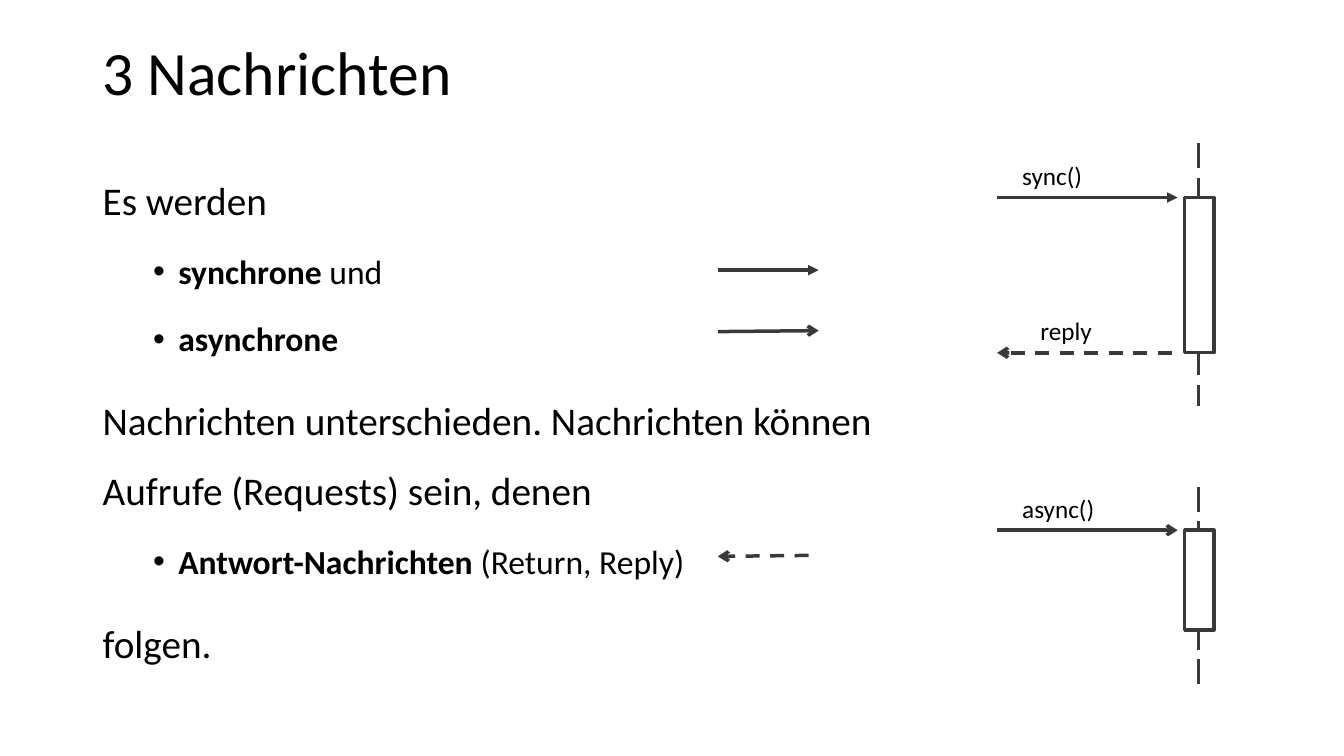
from pptx import Presentation
from pptx.dml.color import RGBColor
from pptx.enum.dml import MSO_LINE_DASH_STYLE as Dash
from pptx.enum.shapes import MSO_CONNECTOR as Connector, MSO_SHAPE as Shape
from pptx.enum.text import MSO_ANCHOR as Anchor, MSO_AUTO_SIZE as AutoSize
from pptx.oxml.ns import qn
from pptx.util import Pt
from lxml.etree import SubElement

EMU_PER_PX = 9144
INK = "3B3838"
BLACK = "000000"
WHITE = "FFFFFF"

STATEMENT = {"line_spacing": 1.5, "space_before": Pt(10)}
KIND = {"line_spacing": 1.5, "space_before": Pt(5), "level": 1}
EXPLANATION = [
    (STATEMENT, 28, [("Es werden", False)]),
    (KIND, 24, [("synchrone", True), (" und", False)]),
    (KIND, 24, [("asynchrone", True)]),
    (STATEMENT, 28, [("Nachrichten unterschieden. Nachrichten können "
                      "Aufrufe (Requests) sein, denen", False)]),
    (KIND, 24, [("Antwort-Nachrichten", True), (" (Return, Reply)", False)]),
    (STATEMENT, 28, [("folgen.", False)]),
]


def px(*lengths):
    return [length * EMU_PER_PX for length in lengths]


def color(hex_value):
    return RGBColor.from_string(hex_value)


def apply_format(target, values):
    for name, value in values.items():
        setattr(target, name, value)


def add_words(paragraph, words, size, bold=False):
    run = paragraph.add_run()
    run.text = words
    apply_format(run.font, {"name": "Calibri", "size": Pt(size), "bold": bold})
    run.font.color.rgb = color(BLACK)


def add_bullet(paragraph):
    properties = paragraph._p.get_or_add_pPr()
    left, indent = px(75, -25)
    properties.set("marL", str(left))
    properties.set("indent", str(indent))
    SubElement(properties, qn("a:buFont"), typeface="Arial")
    SubElement(properties, qn("a:buChar"), char="•")


def add_line(slide, start, end, width=2.5, dash=None, head=None):
    line = slide.shapes.add_connector(Connector.STRAIGHT, *px(*start, *end))
    line.line.color.rgb = color(INK)
    apply_format(line.line, {"width": Pt(width), "dash_style": dash})
    if head:
        SubElement(line.line._get_or_add_ln(), qn("a:tailEnd"), type=head)
    SubElement(line._element.spPr, qn("a:effectLst"))


def add_title(slide, left, top, width, height):
    frame = slide.shapes.add_textbox(*px(left, top, width, height)).text_frame
    apply_format(frame, {"word_wrap": True, "vertical_anchor": Anchor.MIDDLE})
    heading = frame.paragraphs[0]
    heading.line_spacing = 0.9
    add_words(heading, "3 Nachrichten", 44)


def add_explanation(slide, left, top, width, height):
    frame = slide.shapes.add_textbox(*px(left, top, width, height)).text_frame
    frame.word_wrap = True
    for index, (layout, size, phrases) in enumerate(EXPLANATION):
        paragraph = frame.add_paragraph() if index else frame.paragraphs[0]
        if layout is KIND:
            add_bullet(paragraph)
        apply_format(paragraph, layout)
        if index == 0:
            paragraph.space_before = Pt(0)
        for words, bold in phrases:
            add_words(paragraph, words, size, bold)


def add_arrow_legend(slide, left, top, width):
    right = left + width
    add_line(slide, (left, top), (right, top), head="triangle")
    add_line(slide, (left, top + 61), (right, top + 60), head="arrow")
    add_line(slide, (right - 10, top + 283), (left, top + 284),
             dash=Dash.DASH, head="arrow")


def add_message_label(slide, left, message_y, width, words):
    box = slide.shapes.add_textbox(*px(left, message_y - 42, width, 40))
    apply_format(box.text_frame, {"word_wrap": False,
                                  "auto_size": AutoSize.SHAPE_TO_FIT_TEXT})
    add_words(box.text_frame.paragraphs[0], words, 18)


def add_sequence(slide, left, top, height, call_y, duration, call, call_width,
                 head, reply=None):
    start = top + call_y
    finish = start + duration
    lifeline_x = left + 200
    add_line(slide, (lifeline_x, top), (lifeline_x, top + height),
             width=2.25, dash=Dash.LONG_DASH)

    activation = slide.shapes.add_shape(
        Shape.RECTANGLE, *px(left + 186, start, 29, duration))
    activation.shadow.inherit = False
    activation.fill.solid()
    activation.fill.fore_color.rgb = color(WHITE)
    activation.line.color.rgb = color(INK)
    activation.line.width = Pt(2.5)

    add_line(slide, (left, start), (left + 179, start), head=head)
    add_message_label(slide, left + 15, start, call_width, call)
    if reply:
        add_line(slide, (left + 173, finish), (left, finish),
                 dash=Dash.DASH, head="arrow")
        add_message_label(slide, left + 33, finish, 72, reply)


def main():
    deck = Presentation()
    width, height = px(1333, 750)
    apply_format(deck, {"slide_width": width, "slide_height": height})
    slide = deck.slides.add_slide(deck.slide_layouts[6])
    add_title(slide, 92, 2, 1150, 145)
    add_explanation(slide, 92, 147, 809, 574)
    add_arrow_legend(slide, 712, 268, 100)
    add_sequence(slide, 989, 142, 261, 54, 154, "sync()", 80, "triangle", "reply")
    add_sequence(slide, 989, 483, 197, 43, 99, "async()", 92, "arrow")
    deck.save("out.pptx")


if __name__ == "__main__":
    main()
